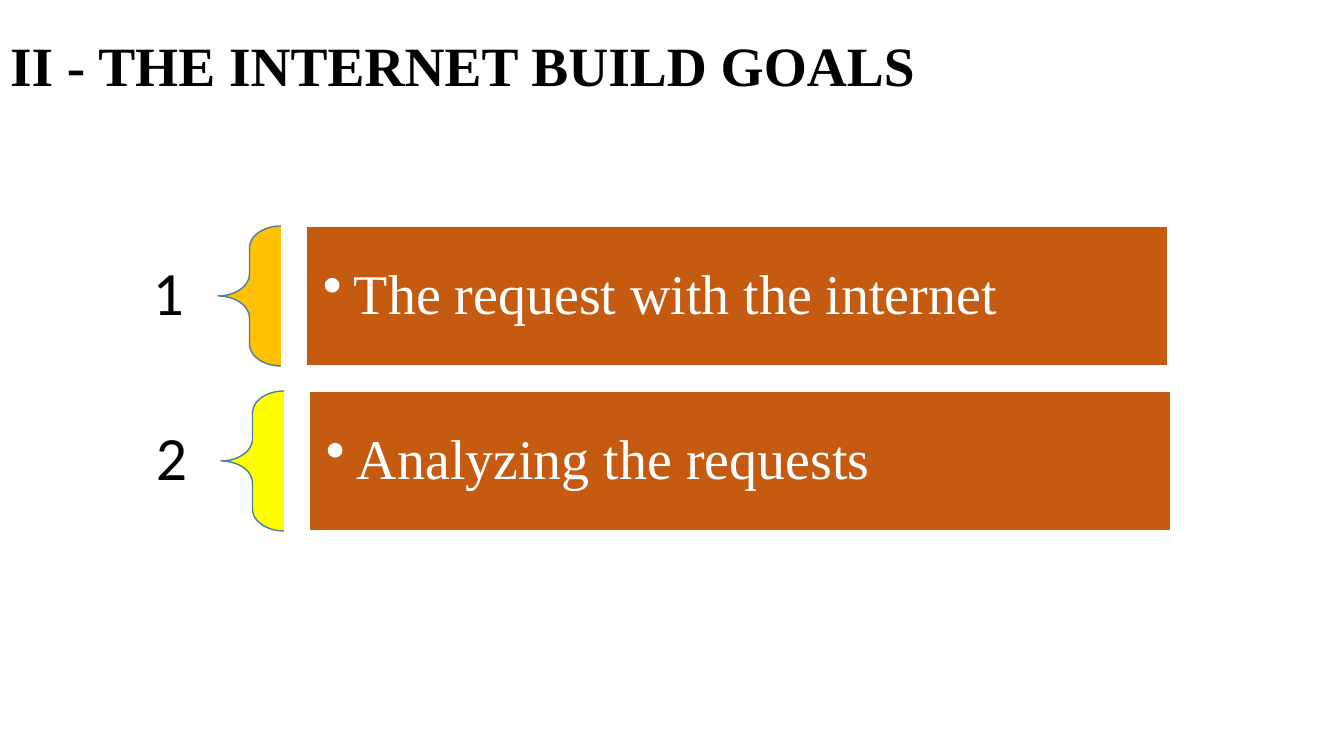
import pptx
import pptx.util
import pptx.dml.color
import pptx.enum.shapes
import pptx.enum.text
import lxml.etree
import pptx.oxml.ns

SCALE = 914400 / 100.8  # EMU in one px
RGB = pptx.dml.color.RGBColor
BLACK = RGB(0x00, 0x00, 0x00)
WHITE = RGB(0xFF, 0xFF, 0xFF)
RUST = RGB(0xC5, 0x5A, 0x11)
AMBER = RGB(0xFF, 0xC0, 0x00)
YELLOW = RGB(0xFF, 0xFF, 0x00)
BLUE = RGB(0x49, 0x7C, 0xAB)
SERIF = "Times New Roman"
SANS = "Calibri"
SHAPE = pptx.enum.shapes.MSO_SHAPE
ALIGN = pptx.enum.text.PP_ALIGN


def px(num):
    return pptx.util.Emu(round(num * SCALE))


def place(box):
    return [px(num) for num in box]


def write(frame, text, face, size, color, align, pad, bold=False):
    """Fill a text frame with one line; pad is left, top, right, bottom."""
    frame.word_wrap = True
    frame.auto_size = pptx.enum.text.MSO_AUTO_SIZE.NONE
    frame.vertical_anchor = pptx.enum.text.MSO_ANCHOR.MIDDLE
    (frame.margin_left, frame.margin_top,
     frame.margin_right, frame.margin_bottom) = place(pad)
    frame.text = text
    para = frame.paragraphs[0]
    para.alignment = align
    para.line_spacing = 0.9
    font = para.runs[0].font
    font.name, font.size, font.bold = face, pptx.util.Pt(size), bold
    font.color.rgb = color
    return para


def draw(slide, kind, box, fill, line):
    shape = slide.shapes.add_shape(kind, *place(box))
    shape.shadow.inherit = False
    shape.fill.solid()
    shape.fill.fore_color.rgb = fill
    shape.line.color.rgb = line
    shape.line.width = pptx.util.Pt(1)
    return shape


def bullet(para, indent):
    props = para._p.get_or_add_pPr()
    props.set("marL", str(px(indent)))
    props.set("indent", str(-px(indent)))
    mark = lxml.etree.SubElement(props, pptx.oxml.ns.qn("a:buChar"))
    mark.set("char", "•")


def add_title(slide, box, text):
    title = slide.shapes.title
    title.left, title.top, title.width, title.height = place(box)
    write(title.text_frame, text, SERIF, 39.6, BLACK, ALIGN.LEFT,
          (10, 5, 10, 13), bold=True)


def add_goal(slide, box, label, text, color):
    """Number, brace and bar, laid out from the right edge of the box."""
    left, top, width, height = box
    bar_wide, brace_wide, gap = 862, 63, 25
    bar_left = left + width - bar_wide
    brace_left = bar_left - gap - brace_wide

    # Number
    note = slide.shapes.add_textbox(
        *place((left, top, brace_left - left, height)))
    write(note.text_frame, label, SANS, 44, BLACK, ALIGN.RIGHT,
          (34, 12, 34, 12))

    # Brace
    brace = draw(slide, SHAPE.LEFT_BRACE,
                 (brace_left, top, brace_wide, height), color, BLUE)
    brace.adjustments[0] = 0.35
    brace.adjustments[1] = 0.5

    # Bar
    bar = draw(slide, SHAPE.RECTANGLE,
               (bar_left, top, bar_wide, height), RUST, WHITE)
    para = write(bar.text_frame, text, SERIF, 40, WHITE, ALIGN.LEFT,
                 (17, 17, 17, 17))
    bullet(para, 31)


def main():
    deck = pptx.Presentation()
    deck.slide_width, deck.slide_height = px(1344), px(756)
    slide = deck.slides.add_slide(deck.slide_layouts[5])
    add_title(slide, (0, 0, 1159, 146), "II - THE INTERNET BUILD GOALS")

    goals = [("1", "The request with the internet", AMBER),
             ("2", "Analyzing the requests", YELLOW)]
    for row, goal in enumerate(goals):
        box = (117, 226 + 165 * row, 1051 + 3 * row, 140)
        add_goal(slide, box, *goal)

    deck.save("out.pptx")


if __name__ == "__main__":
    main()
